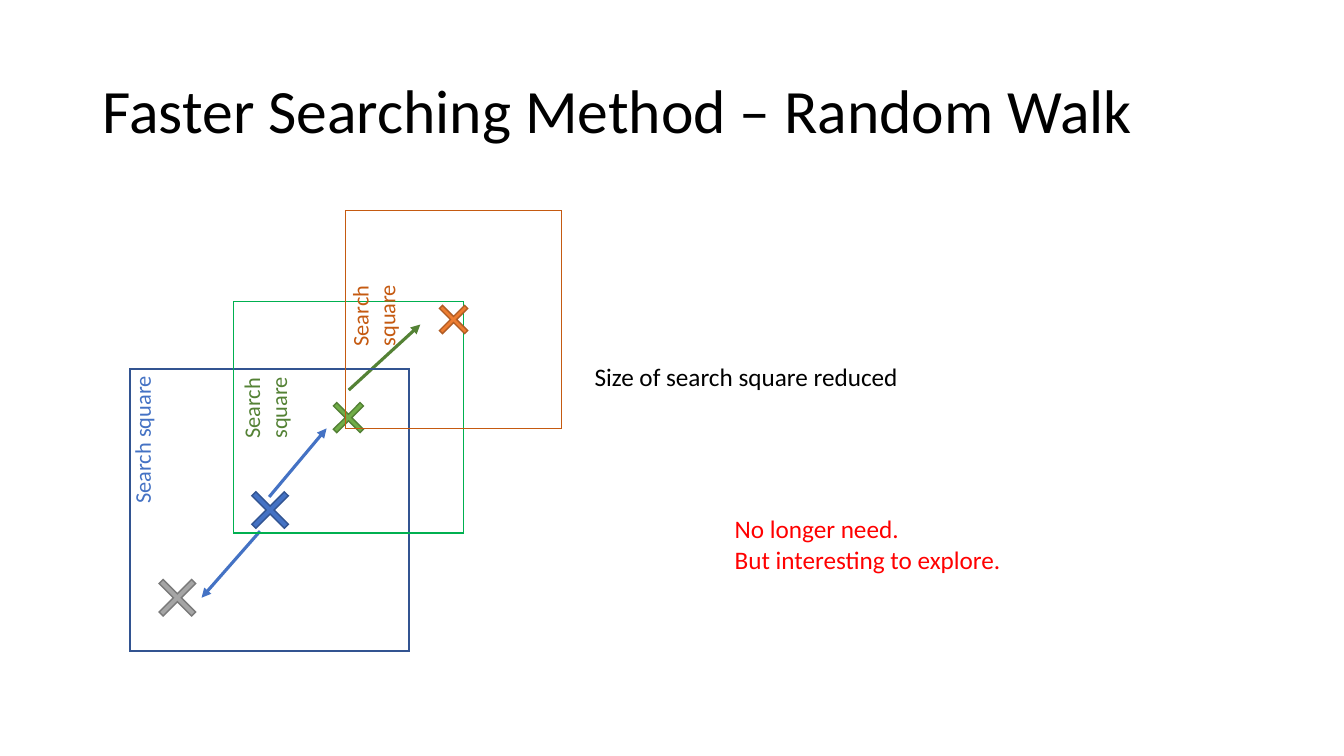
from lxml import etree
from pptx import Presentation
from pptx import util as u
from pptx.dml.color import RGBColor
from pptx.enum import shapes, text
from pptx.oxml.ns import qn

COLUMNS, ROWS = 40, 22.5
WIDTH, HEIGHT = u.Inches(13.33), u.Inches(7.5)
FONT = "Calibri"

BLACK = RGBColor(0x00, 0x00, 0x00)
RED = RGBColor(0xFF, 0x00, 0x00)
GRAY = RGBColor(0xA5, 0xA5, 0xA5)
DARK_GRAY = RGBColor(0x7A, 0x7A, 0x7A)
BLUE = RGBColor(0x44, 0x72, 0xC4)
DARK_BLUE = RGBColor(0x32, 0x54, 0x91)
GREEN = RGBColor(0x70, 0xAD, 0x47)
DARK_GREEN = RGBColor(0x53, 0x80, 0x35)
TEXT_GREEN = RGBColor(0x54, 0x82, 0x35)
BRIGHT_GREEN = RGBColor(0x00, 0xB0, 0x50)
ORANGE = RGBColor(0xED, 0x7D, 0x31)
DARK_ORANGE = RGBColor(0xAF, 0x5C, 0x24)
TEXT_ORANGE = RGBColor(0xC5, 0x5A, 0x11)


def grid(*values):
    steps = (WIDTH / COLUMNS, HEIGHT / ROWS)
    return [round(value * steps[i % 2]) for i, value in enumerate(values)]


def write(frame, content, size=18, color=BLACK, anchor=text.MSO_ANCHOR.TOP, spacing=None):
    frame.word_wrap = True
    frame.auto_size = text.MSO_AUTO_SIZE.NONE
    frame.vertical_anchor = anchor
    frame.text = content
    for paragraph in frame.paragraphs:
        paragraph.alignment = text.PP_ALIGN.LEFT
        if spacing:
            paragraph.line_spacing = spacing
        paragraph.font.name = FONT
        paragraph.font.size = u.Pt(size)
        paragraph.font.color.rgb = color


def add_title(slide, content, box):
    title = slide.shapes.title
    title.left, title.top, title.width, title.height = grid(*box)
    write(title.text_frame, content, size=44, anchor=text.MSO_ANCHOR.MIDDLE, spacing=0.9)


def add_text(slide, content, box, rotation=0, **style):
    shape = slide.shapes.add_textbox(*grid(*box))
    shape.rotation = rotation
    write(shape.text_frame, content, **style)


def outline(shape, color):
    shape.shadow.inherit = False
    shape.line.color.rgb = color
    shape.line.width = u.Pt(1)
    etree.SubElement(shape.line._get_or_add_ln(), qn("a:miter"), lim="800000")


def add_cross(slide, center, size, fill, line):
    column, row = center
    cross = slide.shapes.add_shape(
        shapes.MSO_SHAPE.MATH_MULTIPLY,
        *grid(column - size / 2, row - size / 2, size, size))
    cross.adjustments[0] = 0.09
    cross.fill.solid()
    cross.fill.fore_color.rgb = fill
    outline(cross, line)


def add_search_square(slide, box, line):
    square = slide.shapes.add_shape(shapes.MSO_SHAPE.RECTANGLE, *grid(*box))
    square.fill.background()
    outline(square, line)


def add_arrow(slide, points, color):
    arrow = slide.shapes.add_connector(shapes.MSO_CONNECTOR.STRAIGHT, *grid(*points))
    arrow.line.color.rgb = color
    arrow.line.width = u.Pt(2.25)
    etree.SubElement(arrow.line._get_or_add_ln(), qn("a:tailEnd"), type="triangle")
    etree.SubElement(arrow._element.spPr, qn("a:effectLst"))


def main():
    presentation = Presentation()
    presentation.slide_width, presentation.slide_height = WIDTH, HEIGHT
    slide = presentation.slides.add_slide(presentation.slide_layouts.get_by_name("Title Only"))
    add_title(slide, "Faster Searching Method – Random Walk", (2.76, 1.2, 34.5, 4.35))

    add_cross(slide, (5.28, 17.79), 1.86, GRAY, DARK_GRAY)
    for points, color in [
        ((8.01, 14.79, 9.72, 12.75), BLUE),
        ((7.74, 15.81, 6, 17.79), BLUE),
        ((10.38, 11.61, 12.51, 9.66), TEXT_GREEN),
    ]:
        add_arrow(slide, points, color)

    steps = [
        ((8.04, 15.18), 1.86, BLUE, DARK_BLUE,
         (3.87, 10.98, 8.31, 8.4), DARK_BLUE, (2.01, 12.51, 4.44, 1.11), BLUE),
        ((10.37, 12.43), 1.53, GREEN, DARK_GREEN,
         (6.96, 8.97, 6.84, 6.9), BRIGHT_GREEN, (5.55, 11.07, 3.66, 0.9), TEXT_GREEN),
        ((13.5, 9.51), 1.44, ORANGE, DARK_ORANGE,
         (10.29, 6.27, 6.42, 6.48), TEXT_ORANGE, (8.88, 8.46, 3.42, 0.87), TEXT_ORANGE),
    ]
    for center, size, fill, line, square, border, label, color in steps:
        add_cross(slide, center, size, fill, line)
        add_search_square(slide, square, border)
        add_text(slide, "Search square", label, rotation=270, size=16, color=color)

    add_text(slide, "Size of search square reduced", (17.4, 10.6, 9.75, 1.2))
    add_text(slide, "No longer need.\nBut interesting to explore.",
             (21.57, 15.14, 8.61, 2.13), color=RED)
    presentation.save("out.pptx")


if __name__ == "__main__":
    main()
